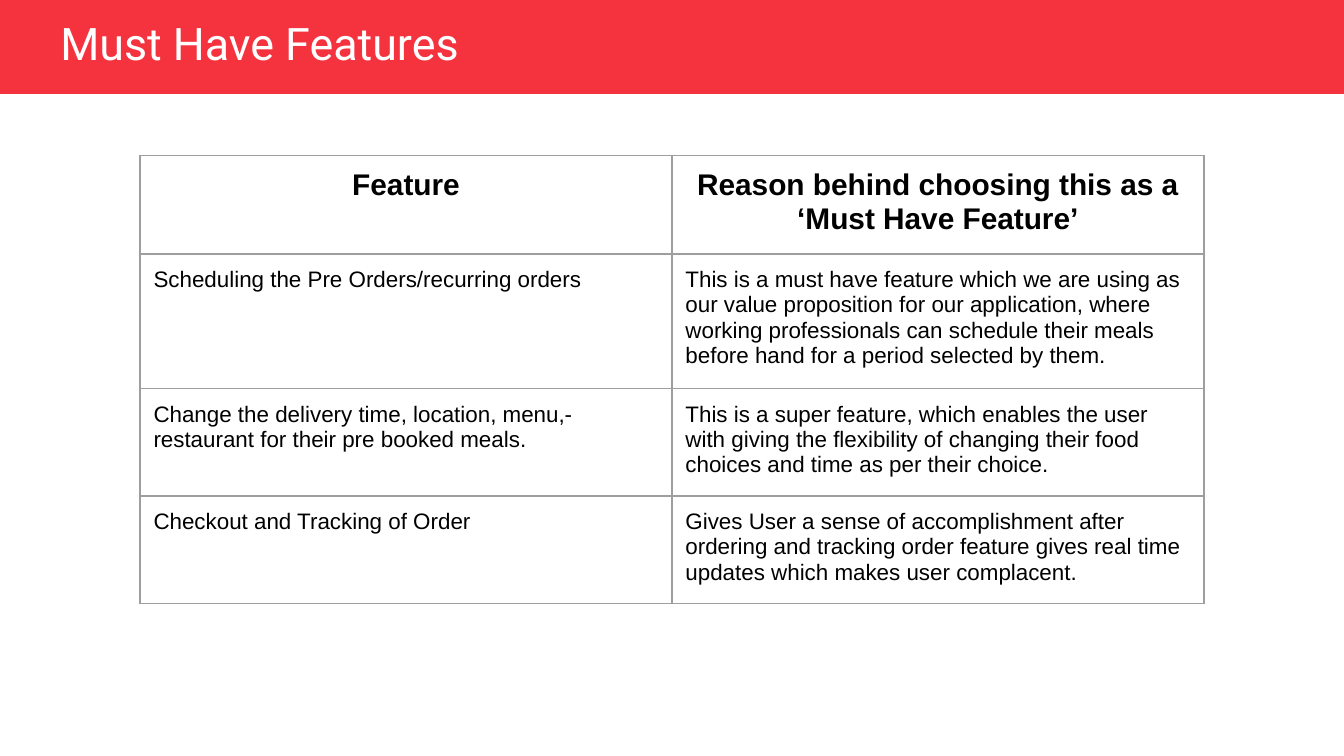
import pptx
import pptx.dml.color
import pptx.enum.shapes
import pptx.enum.text
import pptx.util
from lxml import etree

SLIDE_WIDTH = pptx.util.Inches(10)
SLIDE_HEIGHT = pptx.util.Emu(SLIDE_WIDTH * 9 // 16)
UNIT = SLIDE_WIDTH / 100
ROW_HEIGHTS = [6.92, 9.45, 7.59, 7.59]
DRAWING_NS = "http://schemas.openxmlformats.org/drawingml/2006/main"

HEADINGS = ("Feature", "Reason behind choosing this as a ‘Must Have Feature’")
FEATURES = [
    ("Scheduling the Pre Orders/recurring orders",
     "This is a must have feature which we are using as our value proposition for our "
     "application, where working professionals can schedule their meals before hand for "
     "a period selected by them."),
    ("Change the delivery time, location, menu,- restaurant for their pre booked meals.",
     "This is a super feature, which enables the user with giving the flexibility of "
     "changing their food choices and time as per their choice."),
    ("Checkout and Tracking of Order",
     "Gives User a sense of accomplishment after ordering and tracking order feature "
     "gives real time updates which makes user complacent."),
]


def grid(*units):
    return [pptx.util.Emu(round(unit * UNIT)) for unit in units]


def color(hex_code):
    return pptx.dml.color.RGBColor.from_string(hex_code)


def add_run(paragraph, wording, font_name, size, hex_code, bold=False):
    run = paragraph.add_run()
    run.text = wording
    run.font.name = font_name
    run.font.size = pptx.util.Pt(size)
    run.font.bold = bold
    run.font.color.rgb = color(hex_code)


def add_borders(cell, hex_code, width):
    properties = cell._tc.get_or_add_tcPr()
    for position, side in enumerate(("lnL", "lnR", "lnT", "lnB")):
        border = etree.Element(f"{{{DRAWING_NS}}}{side}", w=str(pptx.util.Pt(width)))
        fill = etree.SubElement(border, f"{{{DRAWING_NS}}}solidFill")
        etree.SubElement(fill, f"{{{DRAWING_NS}}}srgbClr", val=hex_code)
        properties.insert(position, border)


def add_header(slide, box):
    left, top, width, height = box
    banner = slide.shapes.add_shape(
        pptx.enum.shapes.MSO_SHAPE.RECTANGLE, *grid(left, top, width, height))
    banner.shadow.inherit = False
    banner.fill.solid()
    banner.fill.fore_color.rgb = color("F5333F")
    banner.line.fill.background()

    title = slide.shapes.add_textbox(*grid(left + 3.5, top + 1.3, 40.9, 4.2)).text_frame
    title.word_wrap = True
    title.vertical_anchor = pptx.enum.text.MSO_ANCHOR.MIDDLE
    title.paragraphs[0].line_spacing = 0.9
    add_run(title.paragraphs[0], "Must Have Features", "Roboto", 24, "FFFFFF")


def fill_cell(cell, wording, is_heading):
    cell.margin_left, cell.margin_top, cell.margin_right, cell.margin_bottom = grid(1, 1, 1, 1)
    cell.fill.background()
    add_borders(cell, "9E9E9E", 0.75)
    paragraph = cell.text_frame.paragraphs[0]
    if is_heading:
        paragraph.alignment = pptx.enum.text.PP_ALIGN.CENTER
    add_run(paragraph, wording, "Arial", 16 if is_heading else 12, "000000", is_heading)


def add_feature_table(slide, box):
    entries = [HEADINGS, *FEATURES]
    table = slide.shapes.add_table(len(entries), len(HEADINGS), *grid(*box)).table
    table.first_row = False
    table.horz_banding = False
    for row, height in zip(table.rows, grid(*ROW_HEIGHTS)):
        row.height = height
    for row_index, entry in enumerate(entries):
        for column_index, wording in enumerate(entry):
            fill_cell(table.cell(row_index, column_index), wording, row_index == 0)


def main():
    presentation = pptx.Presentation()
    presentation.slide_width = SLIDE_WIDTH
    presentation.slide_height = SLIDE_HEIGHT
    slide = presentation.slides.add_slide(presentation.slide_layouts[6])
    add_header(slide, (0, 0, 100, 7))
    add_feature_table(slide, (10.42, 11.57, 79.16, sum(ROW_HEIGHTS)))
    presentation.save("out.pptx")


if __name__ == "__main__":
    main()
